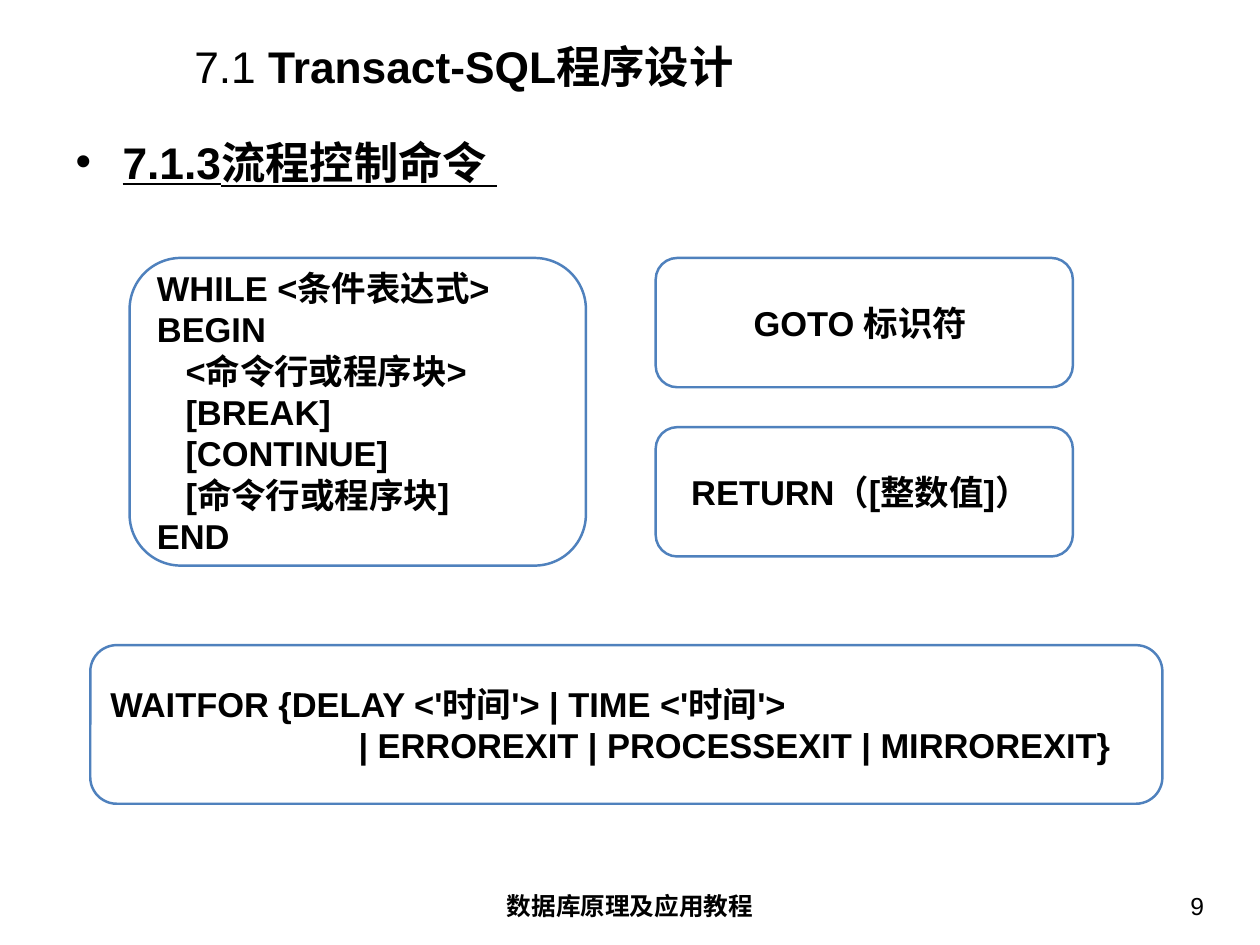
from pptx import Presentation
from pptx.dml.color import RGBColor
from pptx.enum import shapes, text
from pptx.util import Pt

BLACK = RGBColor(0, 0, 0)
WHITE = RGBColor(255, 255, 255)
BLUE = RGBColor(0x4F, 0x81, 0xBD)
LEFT, MID, RIGHT = text.PP_ALIGN.LEFT, text.PP_ALIGN.CENTER, text.PP_ALIGN.RIGHT


def write(para, words, size=28, bold=True, under=False):
    run = para.add_run()
    run.text = words
    font = run.font
    font.name, font.size, font.bold, font.underline = "Arial", Pt(size), bold, under
    font.color.rgb = BLACK


class Page:
    """Holds the style and the current slide; boxes are (left, top, width, height) in points."""

    def __init__(self, deck):
        self.slide = deck.slides.add_slide(deck.slide_layouts[1])
        self.inset = Pt(10), Pt(5)

    def frame(self, item, anchor, wrap=True):
        """Set the text frame's margins and return it."""
        body = item.text_frame
        body.margin_left = body.margin_right = self.inset[0]
        body.margin_top = body.margin_bottom = self.inset[1]
        body.auto_size = text.MSO_AUTO_SIZE.NONE
        body.word_wrap = wrap
        body.vertical_anchor = anchor
        return body

    def holder(self, item, box, anchor):
        """Move a placeholder and return its first paragraph."""
        item.left, item.top, item.width, item.height = map(Pt, box)
        para = self.frame(item, anchor).paragraphs[0]
        para.alignment = LEFT
        para.space_before = Pt(0)
        return para

    def title(self, box, parts):
        para = self.holder(self.slide.shapes.title, box, text.MSO_ANCHOR.MIDDLE)
        for words, bold in parts:
            write(para, words, size=36, bold=bold)

    def bullet(self, box, words, indent):
        para = self.holder(self.slide.placeholders[1], box, text.MSO_ANCHOR.TOP)
        props = para._p.get_or_add_pPr()
        props.set("marL", str(Pt(indent)))
        props.set("indent", str(-Pt(indent)))
        write(para, words, size=36, under=True)

    def label(self, box, words, align, bold=True):
        item = self.slide.shapes.add_textbox(*map(Pt, box))
        para = self.frame(item, text.MSO_ANCHOR.TOP).paragraphs[0]
        para.alignment = align
        write(para, words, size=20, bold=bold)

    def code(self, box, lines, align=LEFT):
        item = self.slide.shapes.add_shape(
            shapes.MSO_SHAPE.FLOWCHART_ALTERNATE_PROCESS, *map(Pt, box))
        item.shadow.inherit = False
        item.fill.solid()
        item.fill.fore_color.rgb = WHITE
        item.line.color.rgb = BLUE
        item.line.width = Pt(2)
        body = self.frame(item, text.MSO_ANCHOR.MIDDLE, wrap=False)
        for i, line in enumerate(lines):
            para = body.add_paragraph() if i else body.paragraphs[0]
            para.alignment = align
            write(para, line)


def main():
    deck = Presentation()
    deck.slide_width, deck.slide_height = Pt(1023.88), Pt(767.88)
    page = Page(deck)
    page.title((147.9, 32.7, 851.5, 41), [("7.1 ", False), ("Transact-SQL程序设计", True)])
    page.bullet((51.4, 104.7, 921.6, 64), "7.1.3流程控制命令 ", indent=38.2)
    page.label((350, 718.6, 324, 39.6), "数据库原理及应用教程", MID)
    page.label((749.5, 718.6, 239, 39.6), "9", RIGHT, bold=False)

    page.code((105.3, 209.6, 370.8, 250), [
        "WHILE <条件表达式>",
        "BEGIN",
        "   <命令行或程序块>",
        "   [BREAK]",
        "   [CONTINUE]",
        "   [命令行或程序块]",
        "END",
    ])
    page.code((73.4, 524.2, 871.2, 128.9), [
        "WAITFOR {DELAY <'时间'> | TIME <'时间'>",
        "                          | ERROREXIT | PROCESSEXIT | MIRROREXIT}",
    ])
    for i, line in enumerate(["GOTO 标识符 ", "RETURN（[整数值]） "]):
        page.code((532.8, 209.6 + 137.5 * i, 339, 105.1), [line], MID)
    deck.save("out.pptx")


if __name__ == "__main__":
    main()
